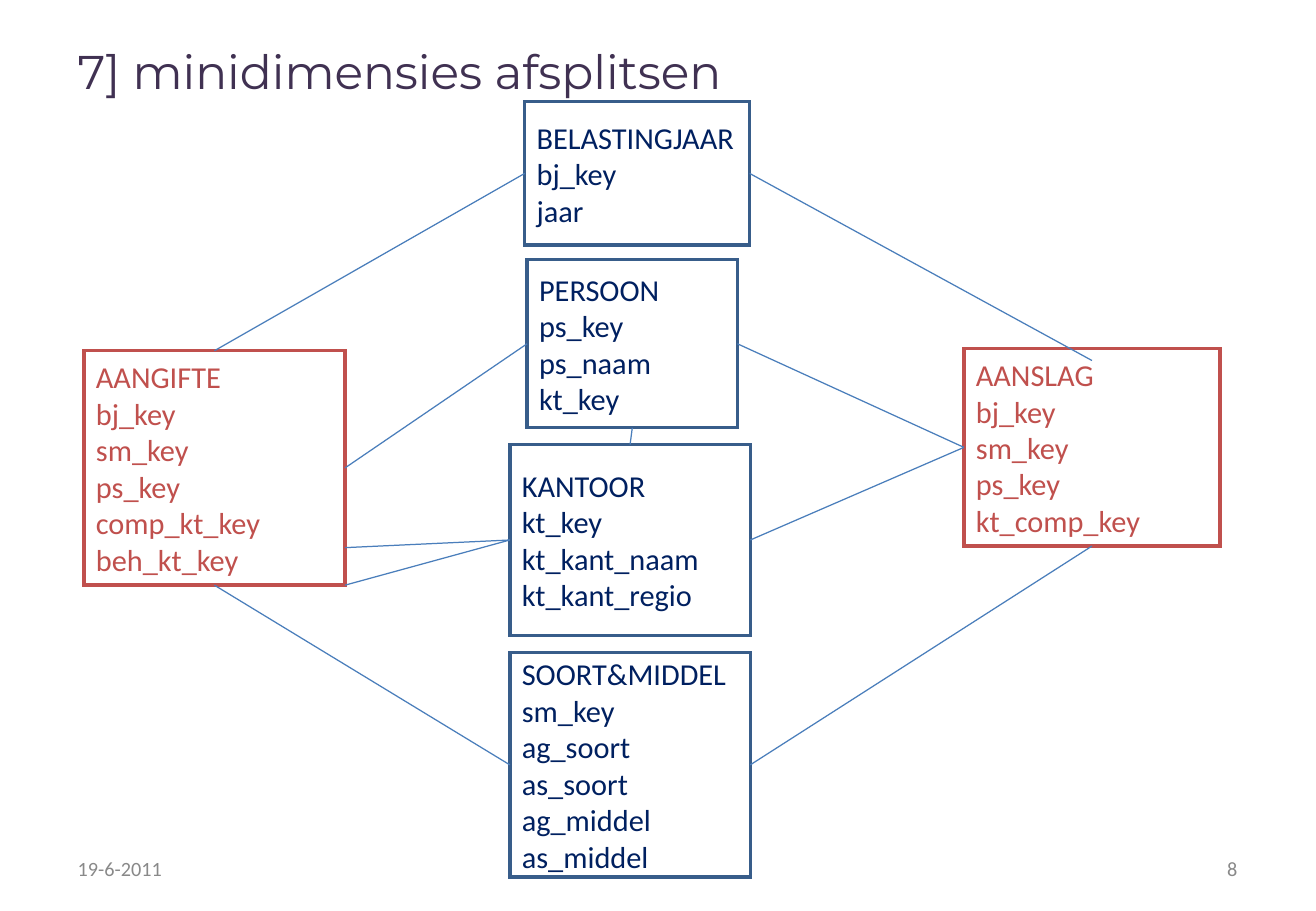
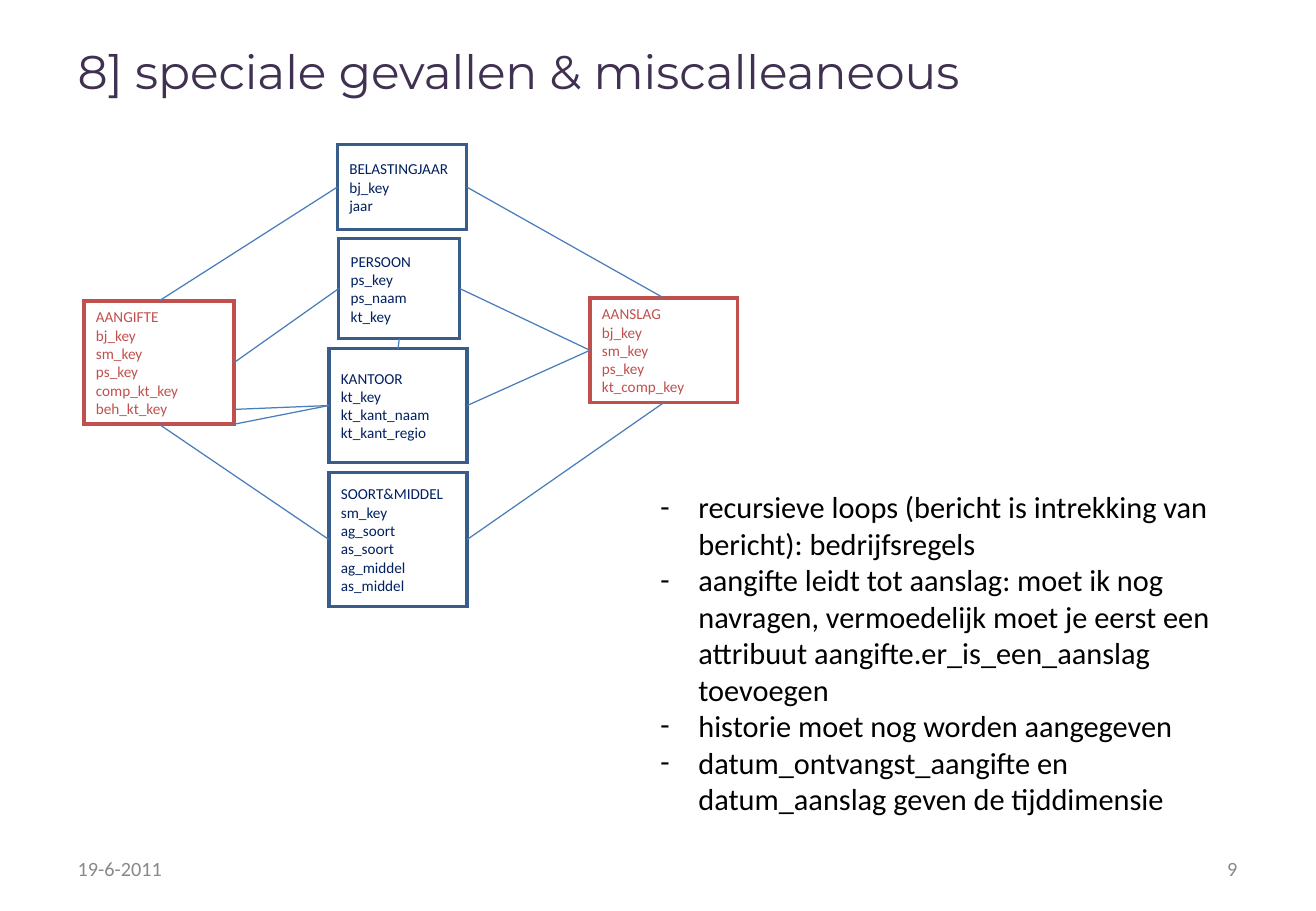
from lxml.etree import SubElement
from pptx import Presentation
from pptx.dml.color import RGBColor
from pptx.enum.shapes import MSO_CONNECTOR, MSO_SHAPE
from pptx.enum.text import MSO_ANCHOR, PP_ALIGN
from pptx.oxml.ns import qn
from pptx.util import Pt

SLIDE_WIDTH, SLIDE_HEIGHT = 780.48, 540
BODY_FONT, TITLE_FONT = "Calibri", "Montserrat"
TITLE_COLOR, FOOTER_COLOR, NOTE_COLOR = "403152", "898989", "000000"
FACT_COLOR, LINK_COLOR = "C0504D", "4A7EBB"
DIMENSION_LINE, DIMENSION_TEXT = "385D8A", "002060"
TITLE_AREA = (39, 21.6, 702, 90)
DATE_AREA = (39, 500.6, 182, 28.8)
NUMBER_AREA = (559, 500.6, 182, 28.8)
NOTES_AREA = (384.6, 286.1, 367.9, 201.6)
NOTE_INDENT = 22.5
DATE = "19-6-2011"

FACTS = {
    "AANGIFTE": ["bj_key", "sm_key", "ps_key", "comp_kt_key", "beh_kt_key"],
    "AANSLAG": ["bj_key", "sm_key", "ps_key", "kt_comp_key"],
}
DIMENSIONS = {
    "BELASTINGJAAR": ["bj_key", "jaar"],
    "PERSOON": ["ps_key", "ps_naam", "kt_key"],
    "KANTOOR": ["kt_key", "kt_kant_naam", "kt_kant_regio"],
    "SOORT&MIDDEL": ["sm_key", "ag_soort", "as_soort", "ag_middel", "as_middel"],
}
FACT_PLACES = {
    "AANGIFTE": (49.8, 277.4, 154.8),
    "AANSLAG": (571.7, 265.2, 151.9),
}
DIMENSION_PLACES = {
    "BELASTINGJAAR": (311.2, 102.8, 133.4, 85),
    "PERSOON": (312.6, 203.8, 124.8, 99.6),
    "KANTOOR": (302.4, 320.1, 142.6, 113.2),
    "SOORT&MIDDEL": (302.4, 453.4, 142.6, 133.2),
}
PORTS = {
    "left": (0, 0.5), "right": (1, 0.5), "top": (0.5, 0),
    "bottom": (0.5, 1), "corner": (1, 1),
}
LINKS = [
    ("AANSLAG", "left", "PERSOON", "right"),
    ("AANGIFTE", "right", "PERSOON", "left"),
    ("AANGIFTE", "comp_kt_key", "KANTOOR", "left"),
    ("KANTOOR", "left", "AANGIFTE", "corner"),
    ("PERSOON", "bottom", "KANTOOR", "top"),
    ("AANSLAG", "left", "KANTOOR", "right"),
    ("AANSLAG", "bottom", "SOORT&MIDDEL", "right"),
    ("AANGIFTE", "bottom", "SOORT&MIDDEL", "left"),
    ("AANGIFTE", "top", "BELASTINGJAAR", "left"),
    ("BELASTINGJAAR", "right", "AANSLAG", "bj_key"),
]
SLIDES = [
    {
        "title": "7] minidimensies afsplitsen",
        "number": "8",
        "origin": (0, 0), "scale": (1, 1), "text_size": 18,
        "ports": {"comp_kt_key": (1, 0.84), "bj_key": (0.5, 0.06)},
        "notes": [],
    },
    {
        "title": "8] speciale gevallen & miscalleaneous",
        "number": "9",
        "origin": (21.2, 49.7), "scale": (0.57, 0.6), "text_size": 9,
        "ports": {"comp_kt_key": (1, 0.88), "bj_key": (0.5, 0)},
        "notes": [
            "recursieve loops (bericht is intrekking van bericht): bedrijfsregels",
            "aangifte leidt tot aanslag: moet ik nog navragen, vermoedelijk moet je "
            "eerst een attribuut aangifte.er_is_een_aanslag toevoegen",
            "historie moet nog worden aangegeven",
            "datum_ontvangst_aangifte en datum_aanslag geven de tijddimensie",
        ],
    },
]
SLIDES[1].update(origin=(21.2, 49.6), scale=(0.575, 0.596))


def rgb(color):
    return RGBColor.from_string(color)


def points(values):
    return [Pt(value) for value in values]


def write(shape, lines, size, color, font=BODY_FONT, align=PP_ALIGN.LEFT,
          anchor=MSO_ANCHOR.MIDDLE):
    frame = shape.text_frame
    frame.word_wrap = True
    frame.vertical_anchor = anchor
    for index, line in enumerate(lines):
        paragraph = frame.add_paragraph() if index else frame.paragraphs[0]
        paragraph.alignment = align
        run = paragraph.add_run()
        run.text = line
        run.font.size = Pt(size)
        run.font.name = font
        run.font.color.rgb = rgb(color)
    return frame.paragraphs


def add_text(slide, area, lines, size, color, **style):
    return write(slide.shapes.add_textbox(*points(area)), lines, size, color, **style)


def add_entity(slide, area, lines, size, line_color, text_color):
    entity = slide.shapes.add_shape(MSO_SHAPE.RECTANGLE, *points(area))
    entity.shadow.inherit = False
    entity.fill.background()
    entity.line.color.rgb = rgb(line_color)
    entity.line.width = Pt(2)
    SubElement(entity._element.spPr.find(qn("a:ln")), qn("a:miter"), lim="800000")
    write(entity, lines, size, text_color)


def add_link(slide, start, end):
    link = slide.shapes.add_connector(MSO_CONNECTOR.STRAIGHT, *points(start + end))
    link.line.color.rgb = rgb(LINK_COLOR)
    link.line.width = Pt(0.75)
    SubElement(link._element.spPr, qn("a:effectLst"))


def add_notes(slide, notes):
    for paragraph in add_text(slide, NOTES_AREA, notes, 18, NOTE_COLOR,
                              anchor=MSO_ANCHOR.TOP):
        properties = paragraph._p.get_or_add_pPr()
        properties.set("marL", str(Pt(NOTE_INDENT)))
        properties.set("indent", str(-Pt(NOTE_INDENT)))
        bullet_color = SubElement(properties, qn("a:buClr"))
        SubElement(bullet_color, qn("a:srgbClr"), val=NOTE_COLOR)
        SubElement(properties, qn("a:buFont"), typeface=BODY_FONT)
        SubElement(properties, qn("a:buChar"), char="-")


def scaled_area(content, left, middle, width, height):
    (x, y), (across, down) = content["origin"], content["scale"]
    return (x + left * across, y + middle * down - height / 2, width * across, height)


def port_point(area, port):
    left, top, width, height = area
    return (left + width * port[0], top + height * port[1])


def add_diagram(slide, content):
    size = content["text_size"]
    areas = {}
    for name, fields in FACTS.items():
        fitted_height = (len(fields) + 1) * size * 1.22 + 7.2
        areas[name] = scaled_area(content, *FACT_PLACES[name], fitted_height)
        add_entity(slide, areas[name], [name] + fields, size, FACT_COLOR, FACT_COLOR)
    for name, fields in DIMENSIONS.items():
        *place, height = DIMENSION_PLACES[name]
        areas[name] = scaled_area(content, *place, height * content["scale"][1])
        add_entity(slide, areas[name], [name] + fields, size,
                   DIMENSION_LINE, DIMENSION_TEXT)
    ports = {**PORTS, **content["ports"]}
    for source, source_port, target, target_port in LINKS:
        add_link(slide, port_point(areas[source], ports[source_port]),
                 port_point(areas[target], ports[target_port]))


def main():
    deck = Presentation()
    deck.slide_width = Pt(SLIDE_WIDTH)
    deck.slide_height = Pt(SLIDE_HEIGHT)
    for content in SLIDES:
        slide = deck.slides.add_slide(deck.slide_layouts[6])
        add_text(slide, TITLE_AREA, [content["title"]], 28, TITLE_COLOR,
                 font=TITLE_FONT, anchor=MSO_ANCHOR.TOP)
        add_text(slide, DATE_AREA, [DATE], 12, FOOTER_COLOR)
        add_text(slide, NUMBER_AREA, [content["number"]], 12, FOOTER_COLOR,
                 align=PP_ALIGN.RIGHT)
        add_diagram(slide, content)
        if content["notes"]:
            add_notes(slide, content["notes"])
    deck.save("out.pptx")


if __name__ == "__main__":
    main()
